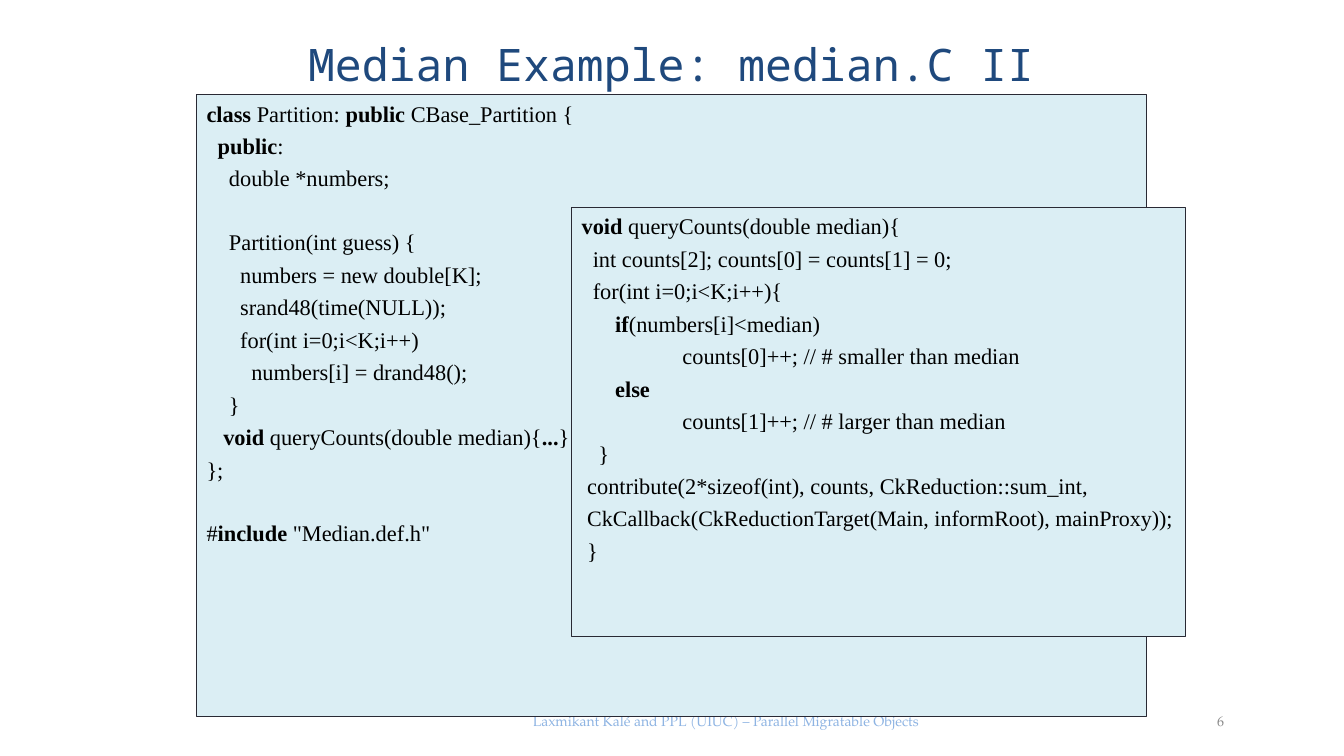
from pptx import Presentation
from pptx.dml.color import RGBColor
from pptx.enum.shapes import MSO_SHAPE as Shape
from pptx.enum.text import MSO_ANCHOR as Anchor, MSO_AUTO_SIZE as AutoSize, PP_ALIGN as Align
from pptx.util import Inches, Pt

COLORS = {
    "title": "1F497D",
    "footer": "8EB4E3",
    "number": "8C8C8C",
    "code": "000000",
    "panel": "DBEEF4",
    "border": "292934",
}
SPACE_WIDTH = 4
LINE_GAP = 4
BLANK_LINE = 22.4


def write(frame, text, font="Times New Roman", size=16, color="code",
          align=Align.LEFT, before=0, indent=0):
    paragraph = frame.paragraphs[0]
    if paragraph.runs:
        paragraph = frame.add_paragraph()
    paragraph.alignment = align
    paragraph.space_before = Pt(before)
    if indent:
        properties = paragraph._p.get_or_add_pPr()
        properties.set("marL", str(Pt(indent)))
        properties.set("indent", "0")
    for position, part in enumerate(text.split("**")):
        if part:
            run = paragraph.add_run()
            run.text = part
            run.font.name = font
            run.font.size = Pt(size)
            run.font.bold = position % 2 == 1
            run.font.color.rgb = RGBColor.from_string(COLORS[color])


deck = Presentation()
deck.slide_width = Inches(13.33)
deck.slide_height = Inches(7.5)
slide = deck.slides.add_slide(deck.slide_layouts[5])

title = slide.shapes.title
title.left, title.top = Inches(0.44), Inches(0.17)
title.width, title.height = Inches(12.44), Inches(0.92)
title.text_frame.vertical_anchor = Anchor.MIDDLE
title.text_frame.auto_size = AutoSize.NONE
write(title.text_frame, "Median Example: median.C II", font="Noto Sans Mono",
      size=32, color="title", align=Align.CENTER)

footer_parts = [
    (4.1, 5.14, 0.13, "Laxmikant Kalé and PPL (UIUC) – Parallel Migratable Objects", "footer"),
    (10.83, 1.41, 0.1, "6", "number"),
]
for left, width, margin, text, color in footer_parts:
    footer = slide.shapes.add_textbox(Inches(left), Inches(6.95), Inches(width), Inches(0.4))
    footer.text_frame.word_wrap = True
    footer.text_frame.vertical_anchor = Anchor.MIDDLE
    footer.text_frame.margin_right = Inches(margin)
    write(footer.text_frame, text, font="TeX Gyre Pagella", size=10,
          color=color, align=Align.RIGHT)

partition_class = [
    (0, "**class** Partition: **public **CBase_Partition {"),
    (2, "**public**:"),
    (4, "double *numbers;"),
    (4, "Partition(int guess) {", {"before": LINE_GAP + BLANK_LINE}),
    (6, "numbers = new double[K];"),
    (6, "srand48(time(NULL));"),
    (6, "for(int i=0;i<K;i++)"),
    (8, "numbers[i] = drand48();"),
    (4, "}"),
    (3, "**void **queryCounts(double median){**...**}"),
    (0, "};"),
    (0, "#**include** \"Median.def.h\"", {"before": LINE_GAP + BLANK_LINE}),
]
query_counts = [
    (0, "**void **queryCounts(double median){"),
    (2, "int counts[2]; counts[0] = counts[1] = 0;"),
    (2, "for(int i=0;i<K;i++){"),
    (6, "**if**(numbers[i]<median)"),
    (18, "counts[0]++; // # smaller than median"),
    (6, "**else**"),
    (18, "counts[1]++; // # larger than median"),
    (3, "}"),
    (1, "contribute(2*sizeof(int), counts, CkReduction::sum_int,"),
    (1, "CkCallback(CkReductionTarget(Main, informRoot), mainProxy));", {"size": 15.7}),
    (1, "}"),
]
code_panels = [
    (1.95, 0.94, 9.42, 6.17, partition_class),
    (5.67, 2.06, 6.09, 4.26, query_counts),
]
for left, top, width, height, code in code_panels:
    panel = slide.shapes.add_shape(Shape.RECTANGLE, Inches(left), Inches(top),
                                   Inches(width), Inches(height))
    panel.shadow.inherit = False
    panel.fill.solid()
    panel.fill.fore_color.rgb = RGBColor.from_string(COLORS["panel"])
    panel.line.color.rgb = RGBColor.from_string(COLORS["border"])
    panel.line.width = Pt(0.75)
    frame = panel.text_frame
    frame.word_wrap = True
    frame.vertical_anchor = Anchor.TOP
    frame.margin_right = Inches(0.05)
    for spaces, text, *options in code:
        line_format = {"before": LINE_GAP, "indent": spaces * SPACE_WIDTH}
        for option in options:
            line_format.update(option)
        write(frame, text, **line_format)

deck.save("out.pptx")
